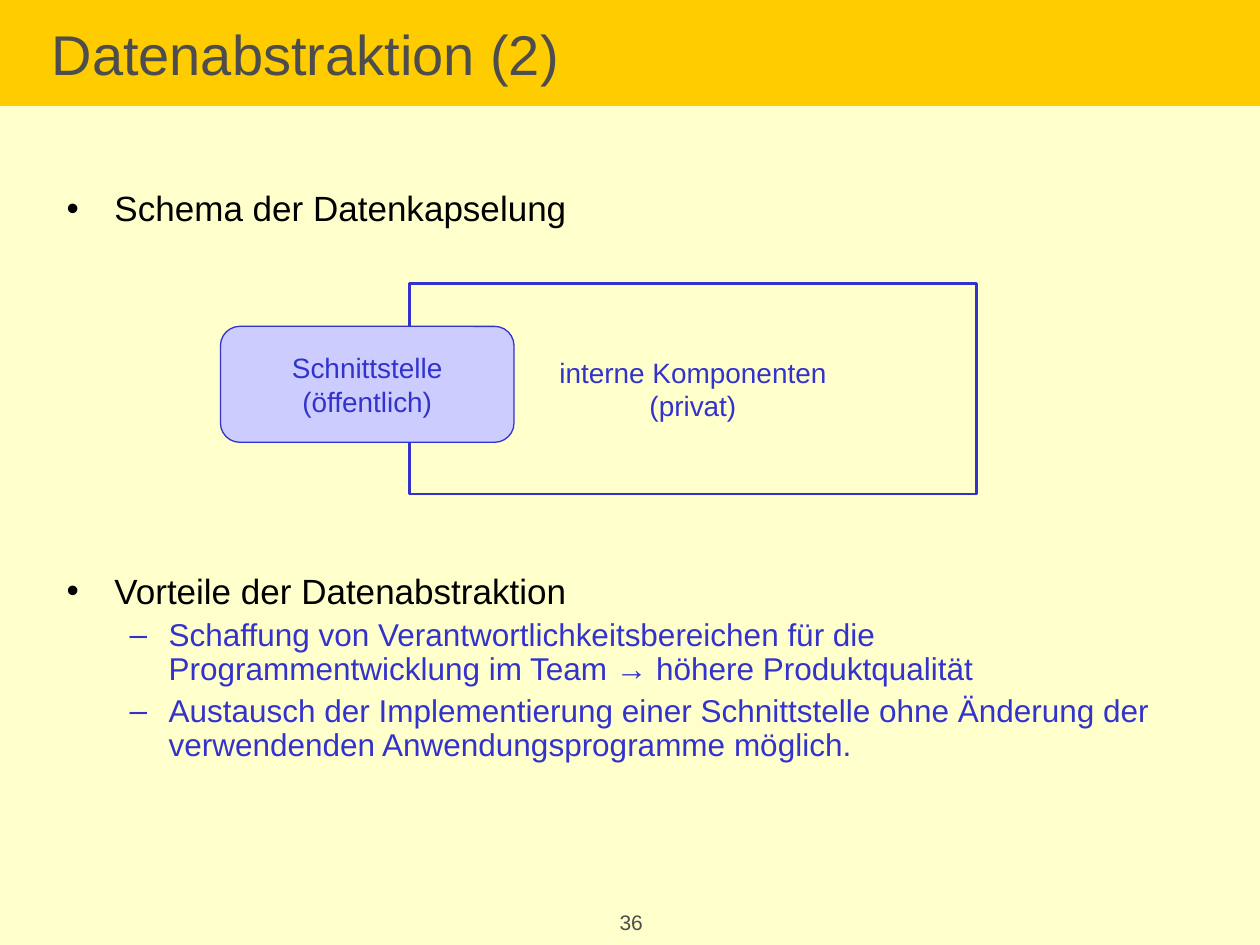
from pptx import Presentation
from pptx.dml.color import RGBColor
from pptx.enum.shapes import MSO_SHAPE as Shape
from pptx.enum.text import MSO_ANCHOR as Anchor, PP_ALIGN as Align
from pptx.oxml.ns import qn
from pptx.util import Inches, Pt
from lxml.etree import SubElement

# Content: (level, text, space before in points)
TITLE = "Datenabstraktion (2)"
PAGE = "36"
BULLETS = [
    (0, "Schema der Datenkapselung", 5),
    (0, "Vorteile der Datenabstraktion", 197),  # leaves room for the diagram
    (1, "Schaffung von Verantwortlichkeitsbereichen für die "
        "Programmentwicklung im Team → höhere Produktqualität", 4.5),
    (1, "Austausch der Implementierung einer Schnittstelle ohne Änderung der "
        "verwendenden Anwendungsprogramme möglich.", 4.5),
]
# Diagram: (shape, text, box, fill, line width), back to front
PARTS = [
    (Shape.RECTANGLE, "interne Komponenten\v(privat)", (3.25, 2.25, 4.5, 1.67), None, 1.5),
    (Shape.ROUNDED_RECTANGLE, "Schnittstelle\v(öffentlich)", (1.75, 2.59, 2.33, 0.92), "panel", 0.75),
]
THEME = {
    "font": "Arial",
    "colors": {"paper": "FFFFCC", "band": "FFCC00", "grey": "4D4D4D",
               "black": "000000", "blue": "3333CC", "panel": "CCCCFF"},
    "sizes": {"title": 32, "label": 16, "page": 12},
    # per level: size, colour, bullet, left indent, hanging indent
    "levels": [(20, "black", "•", 0.38, 0.38), (18, "blue", "–", 0.81, 0.31)],
}
W, H = 10, 7.5


def color(name):
    return RGBColor.from_string(THEME["colors"][name])


def inches(box):
    return [Inches(v) for v in box]


def style(p, size, name, align=Align.LEFT):
    p.alignment = align
    for r in p.runs:
        r.font.name = THEME["font"]
        r.font.size = Pt(size)
        r.font.color.rgb = color(name)


def add_box(shapes, kind, box, fill=None, line=None):
    sp = shapes.add_shape(kind, *inches(box))
    sp.shadow.inherit = False
    if fill:
        sp.fill.solid()
        sp.fill.fore_color.rgb = color(fill)
    else:
        sp.fill.background()
    if line:
        sp.line.color.rgb = color("blue")
        sp.line.width = Pt(line)
    else:
        sp.line.fill.background()
    sp.text_frame.vertical_anchor = Anchor.MIDDLE
    return sp


def set_bullet(p, char, name, left, hanging):
    pPr = p._p.get_or_add_pPr()
    pPr.set("marL", str(Inches(left)))
    pPr.set("indent", str(-Inches(hanging)))
    clr = SubElement(pPr, qn("a:buClr"))
    SubElement(clr, qn("a:srgbClr"), val=THEME["colors"][name])
    SubElement(pPr, qn("a:buFont"), typeface=THEME["font"])
    SubElement(pPr, qn("a:buChar"), char=char)


prs = Presentation()
prs.slide_width, prs.slide_height = Inches(W), Inches(H)
slide = prs.slides.add_slide(prs.slide_layouts[6])
slide.background.fill.solid()
slide.background.fill.fore_color.rgb = color("paper")

# Title band
tf = add_box(slide.shapes, Shape.RECTANGLE, (0, 0, W, 0.84), "band").text_frame
tf.margin_left = Inches(0.41)
tf.text = TITLE
style(tf.paragraphs[0], THEME["sizes"]["title"], "grey")

# Bullets
tf = slide.shapes.add_textbox(*inches((0.43, 1.47, 9.15, 4.83))).text_frame
tf.word_wrap = True
for i, (level, text, before) in enumerate(BULLETS):
    p = tf.add_paragraph() if i else tf.paragraphs[0]
    p.text = text
    p.level = level
    p.line_spacing = 0.9
    p.space_before = Pt(before)
    size, name, char, left, hanging = THEME["levels"][level]
    style(p, size, name)
    set_bullet(p, char, name, left, hanging)

# Encapsulation diagram
group = slide.shapes.add_group_shape()
for kind, text, box, fill, line in PARTS:
    tf = add_box(group.shapes, kind, box, fill, line).text_frame
    tf.word_wrap = False
    tf.text = text
    # \v becomes a line break only when set on the paragraph
    tf.paragraphs[0].text = text
    style(tf.paragraphs[0], THEME["sizes"]["label"], "blue", Align.CENTER)

# Page number
tf = slide.shapes.add_textbox(*inches((4.39, 7.17, 1.24, 0.33))).text_frame
tf.word_wrap = True
tf.text = PAGE
style(tf.paragraphs[0], THEME["sizes"]["page"], "grey", Align.CENTER)

prs.save("out.pptx")
